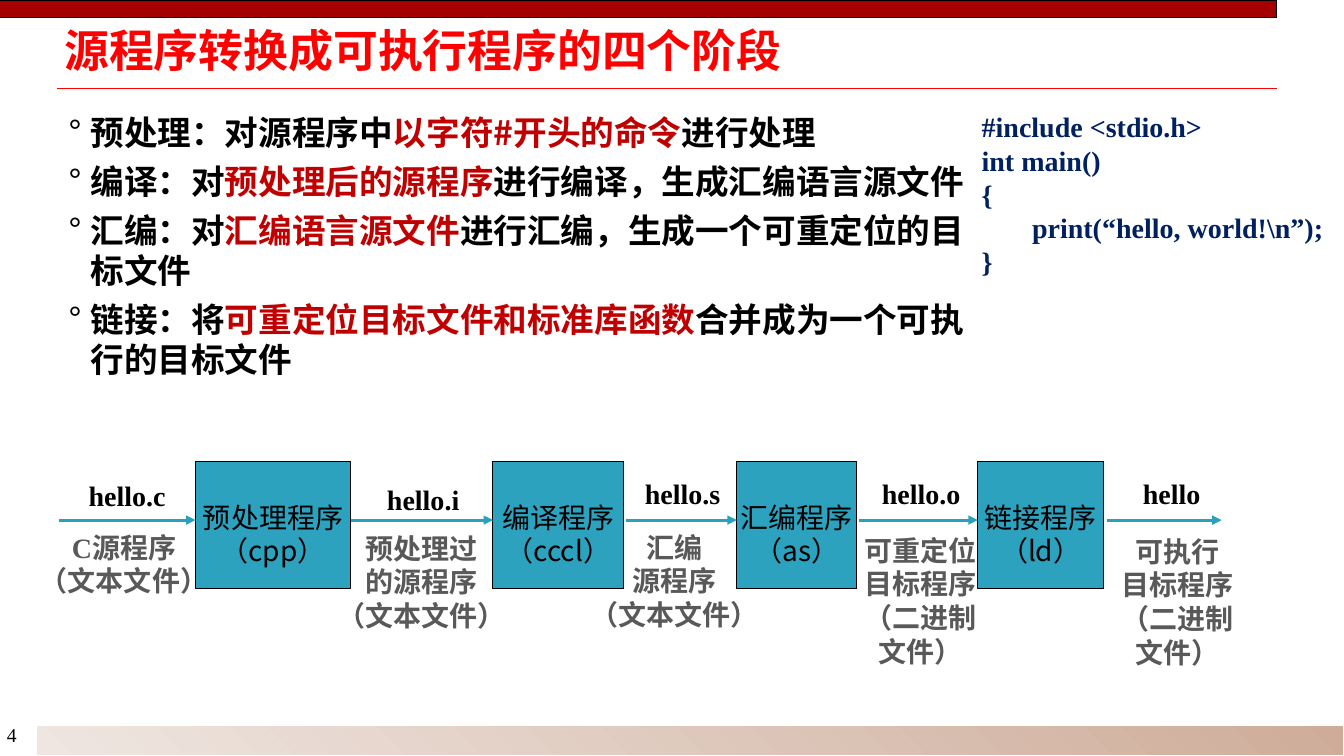
from dataclasses import dataclass

from lxml import etree
from pptx import Presentation
from pptx.dml.color import RGBColor
from pptx.enum.shapes import MSO_CONNECTOR, MSO_SHAPE
from pptx.enum.text import MSO_ANCHOR, MSO_AUTO_SIZE, PP_ALIGN
from pptx.oxml.ns import qn
from pptx.util import Pt

RECTANGLE = MSO_SHAPE.RECTANGLE
STRAIGHT = MSO_CONNECTOR.STRAIGHT
TOP, MIDDLE = MSO_ANCHOR.TOP, MSO_ANCHOR.MIDDLE
NO_FIT = MSO_AUTO_SIZE.NONE
LEFT, CENTER = PP_ALIGN.LEFT, PP_ALIGN.CENTER

SANS = "Noto Sans CJK SC"
SERIF = "Times New Roman"

BLACK = RGBColor(0x00, 0x00, 0x00)
WHITE = RGBColor(0xFF, 0xFF, 0xFF)
RED = RGBColor(0xFF, 0x00, 0x00)
BANNER_RED = RGBColor(0xA4, 0x00, 0x00)
KEYWORD_RED = RGBColor(0xC0, 0x00, 0x00)
NAVY = RGBColor(0x00, 0x20, 0x60)
GRAY = RGBColor(0x59, 0x59, 0x59)
TEAL = RGBColor(0x2D, 0xA2, 0xBF)
ARROW_TEAL = RGBColor(0x28, 0xA1, 0xBE)
TAN = RGBColor(0xCE, 0xAC, 0x99)
CREAM = RGBColor(0xEF, 0xE6, 0xE1)

TOOL_TOP, TOOL_HEIGHT = 329.8, 90.7
ARROW_Y = 371.5


@dataclass(frozen=True)
class Font:
    name: str
    size: float
    color: RGBColor
    bold: bool = True


@dataclass(frozen=True)
class Box:
    left: float
    top: float
    width: float
    height: float

    def lengths(self) -> tuple:
        return Pt(self.left), Pt(self.top), Pt(self.width), Pt(self.height)


@dataclass(frozen=True)
class Tool:
    left: float
    width: float
    lines: tuple[str, str]


@dataclass(frozen=True)
class FileStep:
    """A file on its way between two tools: arrow, name above, note below."""
    start: float
    end: float
    name: str
    name_box: Box
    note: tuple[str, ...]
    note_box: Box


BULLETS = (
    ("预处理：对源程序中", "以字符#开头的命令", "进行处理"),
    ("编译：对", "预处理后的源程序", "进行编译，生成汇编语言源文件"),
    ("汇编：对", "汇编语言源文件", "进行汇编，生成一个可重定位的目标文件"),
    ("链接：将", "可重定位目标文件和标准库函数", "合并成为一个可执行的目标文件"),
)
CODE = ("#include <stdio.h>", "int main()", "{", "\tprint(“hello, world!\\n”);", "}")
TOOLS = (
    Tool(139.7, 110.9, ("预处理程序", "（cpp）")),
    Tool(352.1, 93.6, ("编译程序", "（cccl）")),
    Tool(526.3, 85.7, ("汇编程序", "（as）")),
    Tool(698.4, 90, ("链接程序", "（ld）")),
)
STEPS = (
    FileStep(42.5, 139.7, "hello.c", Box(56.2, 338.4, 69.8, 31.7),
             ("C源程序", "（文本文件）"), Box(20.9, 375.1, 135.4, 55.4)),
    FileStep(250.6, 352.1, "hello.i", Box(269.3, 341.3, 66.2, 31.7),
             ("预处理过", "的源程序", "（文本文件）"), Box(233.3, 375.8, 135.4, 79.9)),
    FileStep(447.1, 526.3, "hello.s", Box(453.6, 337, 69.1, 31.7),
             ("汇编", "源程序", "（文本文件）"), Box(414, 375.1, 135.4, 79.9)),
    FileStep(613.4, 698.4, "hello.o", Box(622.8, 337, 71.3, 31.7),
             ("可重定位", "目标程序", "（二进制", "文件）"), Box(609.8, 377.3, 95, 104.4)),
    FileStep(790.6, 872.6, "hello", Box(809.3, 337, 56.2, 31.7),
             ("可执行", "目标程序", "（二进制", "文件）"), Box(793.4, 378, 95, 104.4)),
)


def add_span(para, text: str, font: Font) -> None:
    span = para.add_run()
    span.text = text
    span.font.name = font.name
    span.font.size = Pt(font.size)
    span.font.bold = font.bold
    span.font.color.rgb = font.color
    east_asian = etree.Element(qn("a:ea"), typeface=SANS)
    span.font._element.find(qn("a:latin")).addnext(east_asian)


def add_paragraphs(frame, lines: tuple[str, ...], font: Font, align=LEFT) -> None:
    for index, line in enumerate(lines):
        para = frame.add_paragraph() if index else frame.paragraphs[0]
        para.alignment = align
        add_span(para, line, font)


def add_text(page, box: Box, lines: tuple[str, ...], font: Font,
             align=LEFT, wrap: bool = False):
    frame = page.shapes.add_textbox(*box.lengths()).text_frame
    frame.word_wrap = wrap
    add_paragraphs(frame, lines, font, align)
    return frame


def add_rectangle(page, box: Box, line_color: RGBColor):
    shape = page.shapes.add_shape(RECTANGLE, *box.lengths())
    shape.shadow.inherit = False
    shape.line.color.rgb = line_color
    shape.line.width = Pt(0.75)
    return shape


def add_line(page, start: float, end: float, y: float, color: RGBColor,
             width: float, arrow: bool = False) -> None:
    line = page.shapes.add_connector(STRAIGHT, Pt(start), Pt(y), Pt(end), Pt(y))
    line.line.color.rgb = color
    line.line.width = Pt(width)
    if arrow:
        etree.SubElement(line.line._get_or_add_ln(), qn("a:tailEnd"), type="triangle")
    etree.SubElement(line._element.spPr, qn("a:effectLst"))


def fit_placeholder(shape, box: Box, anchor):
    shape.left, shape.top, shape.width, shape.height = box.lengths()
    frame = shape.text_frame
    frame.auto_size = NO_FIT
    frame.word_wrap = True
    frame.vertical_anchor = anchor
    frame.margin_left = frame.margin_right = Pt(5)
    frame.margin_top = frame.margin_bottom = Pt(2.2)
    return frame


def set_indent(para, margin: float, first: float, bullet: str = "") -> None:
    properties = para._element.get_or_add_pPr()
    properties.set("marL", str(Pt(margin)))
    properties.set("indent", str(Pt(first)))
    if bullet:
        etree.SubElement(properties, qn("a:buChar"), char=bullet)


def add_frame(page) -> None:
    """Draw the banner, title rule, footer band and page number."""
    add_line(page, 41, 912.2, 63.4, RED, 1)
    footer = add_rectangle(page, Box(25.9, 518.4, 934.1, 21.6), WHITE)
    footer.fill.gradient()
    footer.fill.gradient_angle = 225
    for stop, color in zip(footer.fill.gradient_stops, (TAN, CREAM)):
        stop.color.rgb = color
    add_text(page, Box(-2.2, 512.6, 31, 24.5), ("4",), Font(SERIF, 14, BLACK, False))
    banner = add_rectangle(page, Box(0, 0.7, 912.2, 12.2), BANNER_RED)
    banner.fill.solid()
    banner.fill.fore_color.rgb = BANNER_RED
    banner.line.color.rgb = BLACK


def add_title(page) -> None:
    frame = fit_placeholder(page.shapes.title, Box(41, 19.4, 865.4, 37.4), MIDDLE)
    add_paragraphs(frame, ("源程序转换成可执行程序的四个阶段",), Font(SANS, 32, RED))
    frame.paragraphs[0].line_spacing = 0.87


def add_bullets(page) -> None:
    frame = fit_placeholder(page.placeholders[1], Box(43.9, 77.8, 661, 226), TOP)
    for index, texts in enumerate(BULLETS):
        para = frame.add_paragraph() if index else frame.paragraphs[0]
        para.space_before = Pt(6)
        set_indent(para, 15.8, -15.8, "°")
        for text, color in zip(texts, (BLACK, KEYWORD_RED, BLACK)):
            add_span(para, text, Font(SANS, 24, color))


def add_code(page) -> None:
    frame = add_text(page, Box(655.9, 74.9, 299.5, 128.2), CODE,
                     Font(SERIF, 20, NAVY), wrap=True)
    for para in frame.paragraphs:
        set_indent(para, 38.2, 0)


def add_tool(page, tool: Tool) -> None:
    shape = add_rectangle(page, Box(tool.left, TOOL_TOP, tool.width, TOOL_HEIGHT), BLACK)
    shape.fill.solid()
    shape.fill.fore_color.rgb = TEAL
    frame = shape.text_frame
    frame.word_wrap = False
    frame.vertical_anchor = TOP
    frame.margin_top = Pt(27.6)
    add_paragraphs(frame, tool.lines, Font(SANS, 20, BLACK, False), CENTER)


def add_step(page, step: FileStep) -> None:
    add_text(page, step.name_box, (step.name,), Font(SERIF, 20, BLACK))
    add_text(page, step.note_box, step.note, Font(SERIF, 20, GRAY), CENTER)
    add_line(page, step.start, step.end, ARROW_Y, ARROW_TEAL, 2.25, arrow=True)


def main() -> None:
    deck = Presentation()
    deck.slide_width, deck.slide_height = Pt(960), Pt(540)
    page = deck.slides.add_slide(deck.slide_layouts[1])
    add_frame(page)
    add_title(page)
    add_bullets(page)
    for tool in TOOLS:
        add_tool(page, tool)
    for step in STEPS:
        add_step(page, step)
    add_code(page)
    deck.save("out.pptx")


if __name__ == "__main__":
    main()
